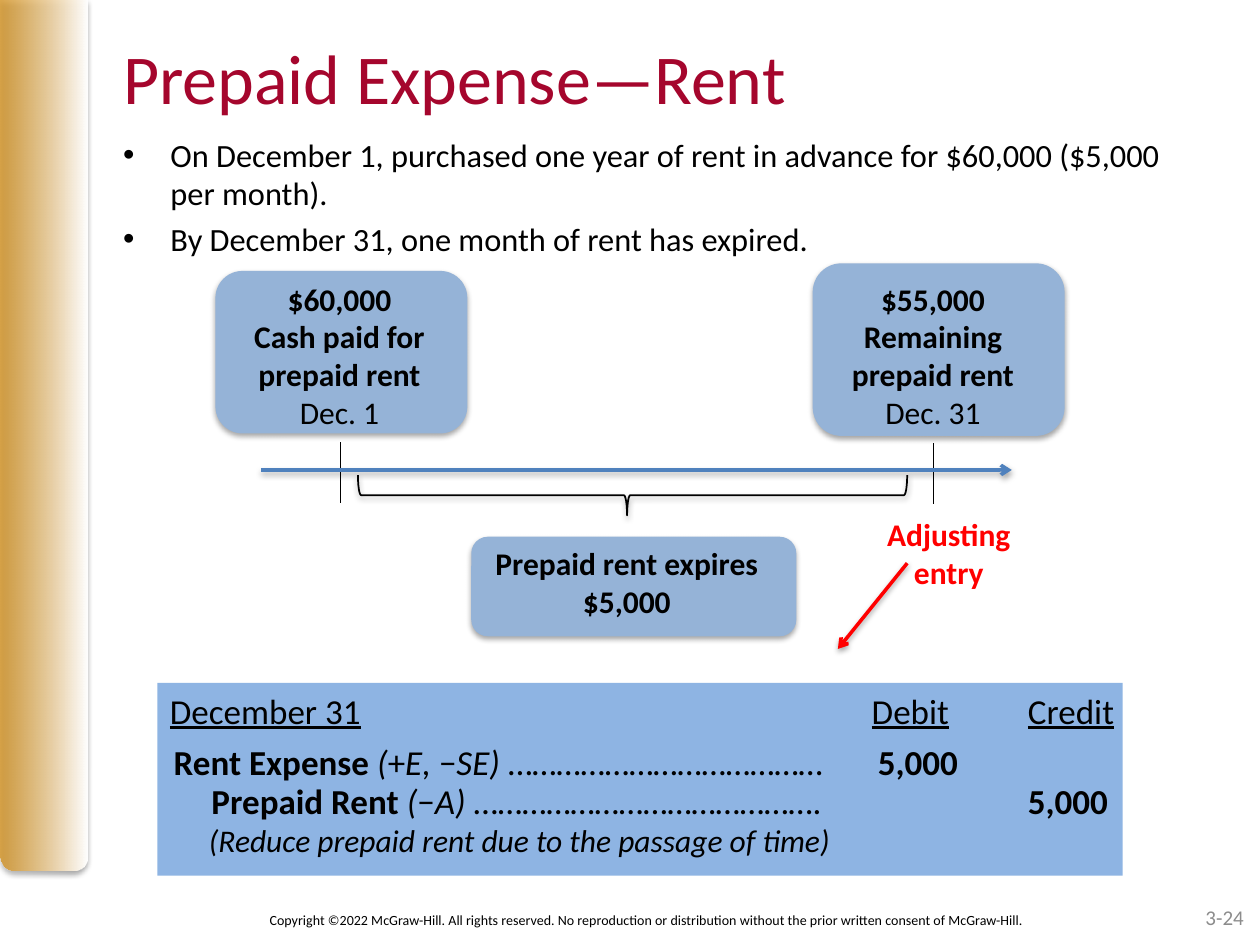
"""Build the prepaid rent slide with its timeline and adjusting journal entry."""
from lxml.etree import SubElement
from pptx import Presentation
from pptx.dml.color import RGBColor
from pptx.enum.shapes import MSO_CONNECTOR, MSO_SHAPE
from pptx.enum.text import MSO_ANCHOR, PP_ALIGN
from pptx.oxml.ns import qn
from pptx.util import Inches, Pt

THEME = {
    "font": "Calibri", "ink": "000000", "title": "A5062D", "gold": "D49323",
    "paper": "FFFFFF", "card": "95B3D7", "ledger": "8EB4E3", "axis": "4F81BD",
    "alert": "FF0000", "muted": "8C8C8C",
    "title_size": 40, "ledger_size": 20, "body_size": 18.5, "label_size": 18,
    "number_size": 12, "footer_size": 8,
}

presentation = Presentation()
presentation.slide_width, presentation.slide_height = Inches(10), Inches(7.5)
slide = presentation.slides.add_slide(presentation.slide_layouts[6])
COLUMN = presentation.slide_width / 100
ROW = presentation.slide_height / 75


def set_shadow(shape, visible=True):
    effects = SubElement(shape._element.spPr, qn("a:effectLst"))
    if visible:
        shadow = SubElement(effects, qn("a:outerShdw"), blurRad="40000", dist="22000",
                            dir="5400000", rotWithShape="0")
        color = SubElement(shadow, qn("a:srgbClr"), val=THEME["ink"])
        SubElement(color, qn("a:alpha"), val="35000")


def add_text(frame, paragraphs, size, color="ink", align=PP_ALIGN.LEFT,
             anchor=MSO_ANCHOR.TOP):
    left, top, width, height = frame
    box = slide.shapes.add_textbox(round(left * COLUMN), round(top * ROW),
                                   round(width * COLUMN), round(height * ROW))
    text_frame = box.text_frame
    text_frame.word_wrap = True
    text_frame.vertical_anchor = anchor
    for index, runs in enumerate(paragraphs):
        paragraph = text_frame.add_paragraph() if index else text_frame.paragraphs[0]
        paragraph.alignment = align
        for text, style in runs:
            run = paragraph.add_run()
            run.text = text
            run.font.name = THEME["font"]
            run.font.size = Pt(THEME[size])
            run.font.color.rgb = RGBColor.from_string(THEME[color])
            run.font.bold = "b" in style
            run.font.italic = "i" in style
            run.font.underline = "u" in style
    return text_frame


add_text((15.6, 71, 71.5, 4),
         [[("Copyright ©2022 McGraw-Hill. All rights reserved. No reproduction or distribution "
            "without the prior written consent of McGraw-Hill.", "")]],
         "footer_size", align=PP_ALIGN.CENTER, anchor=MSO_ANCHOR.MIDDLE)
add_text((8.8, 1.1, 77.7, 9.9), [[("Prepaid Expense—Rent", "")]],
         "title_size", "title", anchor=MSO_ANCHOR.MIDDLE)

band = slide.shapes.add_shape(MSO_SHAPE.ROUND_2_SAME_RECTANGLE, 0, 0,
                              round(6.9 * COLUMN), round(69.1 * ROW))
band._element.spPr.find(qn("a:xfrm")).set("flipV", "1")
band.fill.gradient()
band.fill.gradient_angle = 0
for stop, name in zip(band.fill.gradient_stops, ("gold", "paper")):
    stop.color.rgb = RGBColor.from_string(THEME[name])
gold_stop = next(band._element.spPr.iter(qn("a:srgbClr")))
SubElement(gold_stop, qn("a:alpha"), val="80000")
band.line.fill.background()
set_shadow(band)

add_text((76.4, 70.8, 23.3, 4), [[("3-24", "")]], "number_size", "muted",
         PP_ALIGN.RIGHT, MSO_ANCHOR.MIDDLE)

PANELS = [
    (MSO_SHAPE.RECTANGLE, "ledger", (12.5, 54.2, 76.6, 15.3)),
    (MSO_SHAPE.ROUNDED_RECTANGLE, "card", (17.1, 21.5, 20, 12.9)),
    (MSO_SHAPE.ROUNDED_RECTANGLE, "card", (64.5, 20.9, 20, 13.7)),
    (MSO_SHAPE.ROUNDED_RECTANGLE, "card", (37.4, 42.6, 25.8, 7.9)),
]
for preset, name, (left, top, width, height) in PANELS:
    panel = slide.shapes.add_shape(preset, round(left * COLUMN), round(top * ROW),
                                   round(width * COLUMN), round(height * ROW))
    panel.fill.solid()
    panel.fill.fore_color.rgb = RGBColor.from_string(THEME[name])
    panel.line.fill.background()
    set_shadow(panel, name == "card")

DEBIT, CREDIT = 69.2, 81.6
LEDGER_ROWS = [
    (12.5, 54.2, 84.2, DEBIT,
     [("December 31", "u"), ("\t", ""), ("Debit", "u"), ("\t", ""), ("Credit", "u")]),
    (12.8, 58.3, 76.3, DEBIT + 0.5,
     [("Rent Expense ", "b"), ("(", "i"), ("+", ""), ("E, ", "i"), ("−", ""), ("SE) ", "i"),
      ("…………………………………\t", ""), ("5,000", "b")]),
    (15.8, 61.4, 73.3, DEBIT,
     [("Prepaid Rent ", "b"), ("(", "i"), ("−", ""), ("A) ", "i"),
      ("…………………………………….\t\t", ""), ("5,000", "b")]),
]
for left, top, width, debit, runs in LEDGER_ROWS:
    text_frame = add_text((left, top, width, 4.4), [runs], "ledger_size")
    tabs = SubElement(text_frame.paragraphs[0]._p.get_or_add_pPr(), qn("a:tabLst"))
    for stop in (debit, CREDIT):
        SubElement(tabs, qn("a:tab"), pos=str(round((stop - left - 1) * COLUMN)), algn="l")
add_text((15.6, 64.7, 73.5, 4.4),
         [[("(Reduce prepaid rent due to the passage of time)", "i")]], "label_size")

bullets = add_text(
    (8.8, 10.2, 87, 10),
    [[("On December 1, purchased one year of rent in advance for $60,000 "
       "($5,000 per month).", "")],
     [("By December 31, one month of rent has expired.", "")]], "body_size")
for paragraph in bullets.paragraphs:
    properties = paragraph._p.get_or_add_pPr()
    properties.set("marL", str(round(3.75 * COLUMN)))
    properties.set("indent", str(round(-3.75 * COLUMN)))
    SubElement(properties, qn("a:buFont"), typeface="Arial")
    SubElement(properties, qn("a:buChar"), char="•")
bullets.paragraphs[1].space_before = Pt(0.2 * THEME["body_size"])

LABELS = [
    ((17.1, 21.7, 19.7, 13.1), "ink",
     [("$60,000", "b"), ("Cash paid for", "b"), ("prepaid rent", "b"), ("Dec. 1", "")]),
    ((64.8, 21.7, 18.5, 13.1), "ink",
     [("$55,000", "b"), ("Remaining", "b"), ("prepaid rent", "b"), ("Dec. 31", "")]),
    ((37.8, 42.7, 23.9, 7.1), "ink", [("Prepaid rent expires", "b"), ("$5,000", "b")]),
    ((67.9, 40.4, 14.8, 7.1), "alert", [("Adjusting entry", "b")]),
]
for frame, color, lines in LABELS:
    add_text(frame, [[line] for line in lines], "label_size", color, PP_ALIGN.CENTER)

brace = slide.shapes.add_shape(MSO_SHAPE.RIGHT_BRACE, round(48.6 * COLUMN), round(17.5 * ROW),
                               round(3.2 * COLUMN), round(43.6 * ROW))
brace.rotation = 90
brace.adjustments[0], brace.adjustments[1] = 0.08, 0.51
brace.fill.background()
brace.line.color.rgb = RGBColor.from_string(THEME["ink"])
brace.line.width = Pt(1)
set_shadow(brace)

LINES = [
    ((27, 35.1), (27, 39.9), "ink", 0.75, False),
    ((74.1, 35.2), (74.1, 40), "ink", 0.75, False),
    ((20.7, 37.3), (80.3, 37.3), "axis", 2, True),
    ((72, 44.7), (66.5, 51.5), "alert", 2, True),
]
for (start_x, start_y), (end_x, end_y), color, width, is_arrow in LINES:
    connector = slide.shapes.add_connector(
        MSO_CONNECTOR.STRAIGHT, round(start_x * COLUMN), round(start_y * ROW),
        round(end_x * COLUMN), round(end_y * ROW))
    connector.line.color.rgb = RGBColor.from_string(THEME[color])
    connector.line.width = Pt(width)
    if is_arrow:
        SubElement(connector._element.spPr.find(qn("a:ln")), qn("a:tailEnd"), type="arrow")
    set_shadow(connector, is_arrow)

presentation.save("out.pptx")
